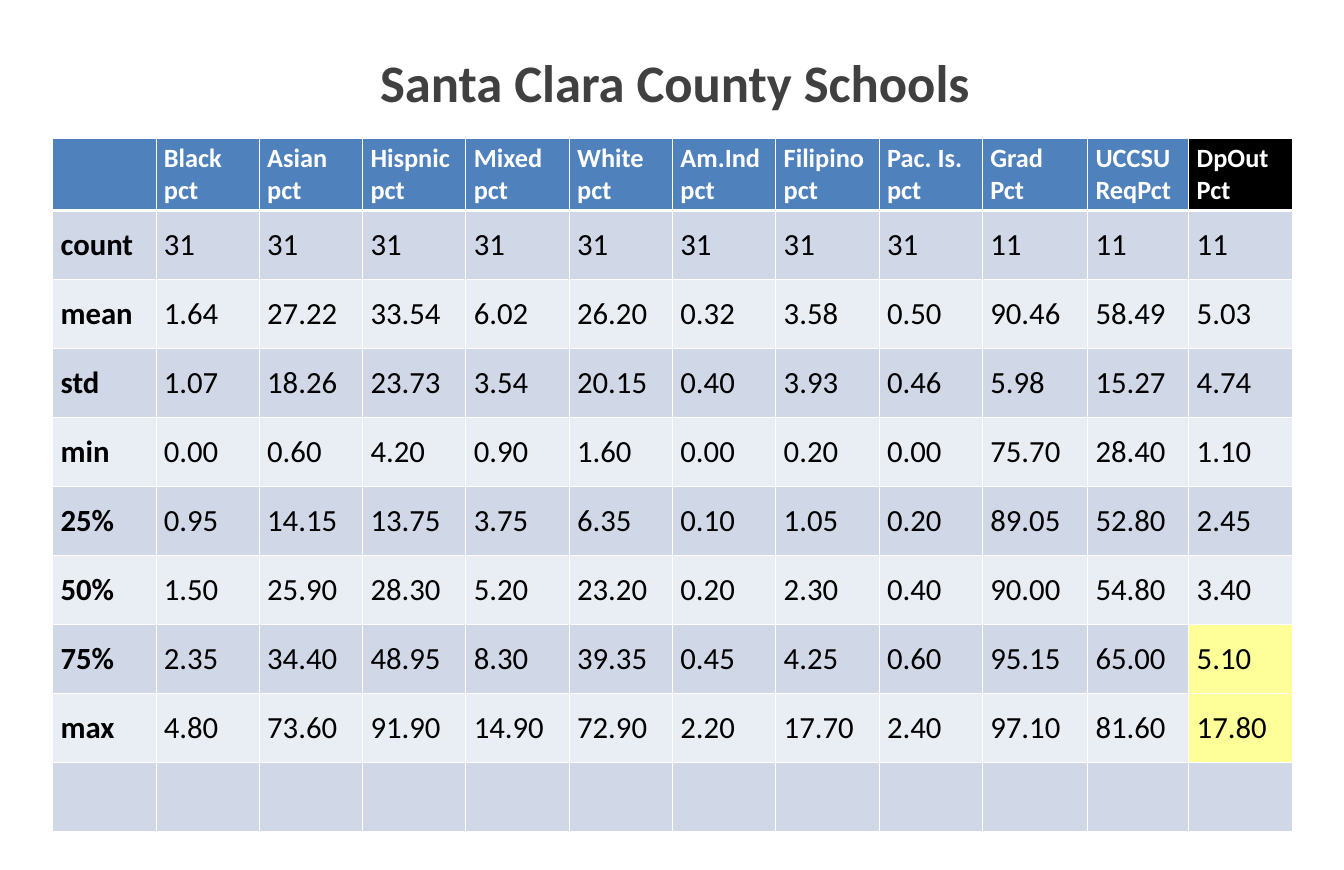
"""Build the Santa Clara County Schools summary table slide."""
from pptx import Presentation
from pptx.dml.color import RGBColor
from pptx.enum.text import MSO_ANCHOR
from pptx.oxml.ns import qn
from pptx.util import Pt
from lxml.etree import SubElement

TITLE = "Santa Clara County Schools"
HEADER = ["", "Black\npct", "Asian\npct", "Hispnic\npct", "Mixed\npct", "White\npct",
          "Am.Ind\npct", "Filipino\npct", "Pac. Is.\npct", "Grad\nPct",
          "UCCSU\nReqPct", "DpOut\nPct"]
STATS = [
    "count 31 31 31 31 31 31 31 31 11 11 11",
    "mean 1.64 27.22 33.54 6.02 26.20 0.32 3.58 0.50 90.46 58.49 5.03",
    "std 1.07 18.26 23.73 3.54 20.15 0.40 3.93 0.46 5.98 15.27 4.74",
    "min 0.00 0.60 4.20 0.90 1.60 0.00 0.20 0.00 75.70 28.40 1.10",
    "25% 0.95 14.15 13.75 3.75 6.35 0.10 1.05 0.20 89.05 52.80 2.45",
    "50% 1.50 25.90 28.30 5.20 23.20 0.20 2.30 0.40 90.00 54.80 3.40",
    "75% 2.35 34.40 48.95 8.30 39.35 0.45 4.25 0.60 95.15 65.00 5.10",
    "max 4.80 73.60 91.90 14.90 72.90 2.20 17.70 2.40 97.10 81.60 17.80",
]
ROWS = [HEADER] + [line.split() for line in STATS] + [[""] * len(HEADER)]
COL_WIDTHS = [94.1] * 9 + [95.8, 92.2, 94.1]
ROW_HEIGHT = 62.8
BANDS = ["E9EDF4", "D0D8E8"]
LAST = len(HEADER) - 1
SPECIAL_FILLS = {(0, LAST): "000000", (7, LAST): "FFFF99", (8, LAST): "FFFF99"}


def rgb(value):
    return RGBColor.from_string(value)


def write(tf, text, size=28, color="000000", bold=False):
    for i, line in enumerate(text.split("\n")):
        p = tf.paragraphs[0] if i == 0 else tf.add_paragraph()
        r = p.add_run()
        r.text = line
        r.font.name = "Calibri"
        r.font.size = Pt(size)
        r.font.bold = bold
        r.font.color.rgb = rgb(color)


def set_borders(cell, **widths):
    tc_pr = cell._tc.get_or_add_tcPr()
    for side in "LRTB":
        ln = SubElement(tc_pr, qn(f"a:ln{side}"), w=str(Pt(widths.get(side, 1))))
        fill = SubElement(ln, qn("a:solidFill"))
        SubElement(fill, qn("a:srgbClr"), val="FFFFFF")


def fill_cell(cell, row, col, text):
    header = row == 0
    set_borders(cell, **({"B": 3} if header else {"T": 3} if row == 1 else {}))
    color = "4F81BD" if header else BANDS[row % 2]
    cell.fill.solid()
    cell.fill.fore_color.rgb = rgb(SPECIAL_FILLS.get((row, col), color))
    cell.vertical_anchor = MSO_ANCHOR.MIDDLE
    if text:
        write(cell.text_frame, text, size=24 if header else 28,
              color="FFFFFF" if header else "000000", bold=header or col == 0)


prs = Presentation()
prs.slide_width, prs.slide_height = Pt(1224), Pt(792)
s = prs.slides.add_slide(prs.slide_layouts[6])

table = s.shapes.add_table(len(ROWS), len(HEADER), Pt(48), Pt(126),
                           Pt(sum(COL_WIDTHS)), Pt(ROW_HEIGHT * len(ROWS))).table
table.first_row = table.horz_banding = False
for column, width in zip(table.columns, COL_WIDTHS):
    column.width = Pt(width)
for row, texts in enumerate(ROWS):
    table.rows[row].height = Pt(ROW_HEIGHT)
    for col, text in enumerate(texts):
        fill_cell(table.cell(row, col), row, col, text)

title = s.shapes.add_textbox(Pt(339), Pt(42), Pt(555), Pt(65.5))
title.text_frame.word_wrap = False
write(title.text_frame, TITLE, size=48, color="404040", bold=True)

prs.save("out.pptx")
